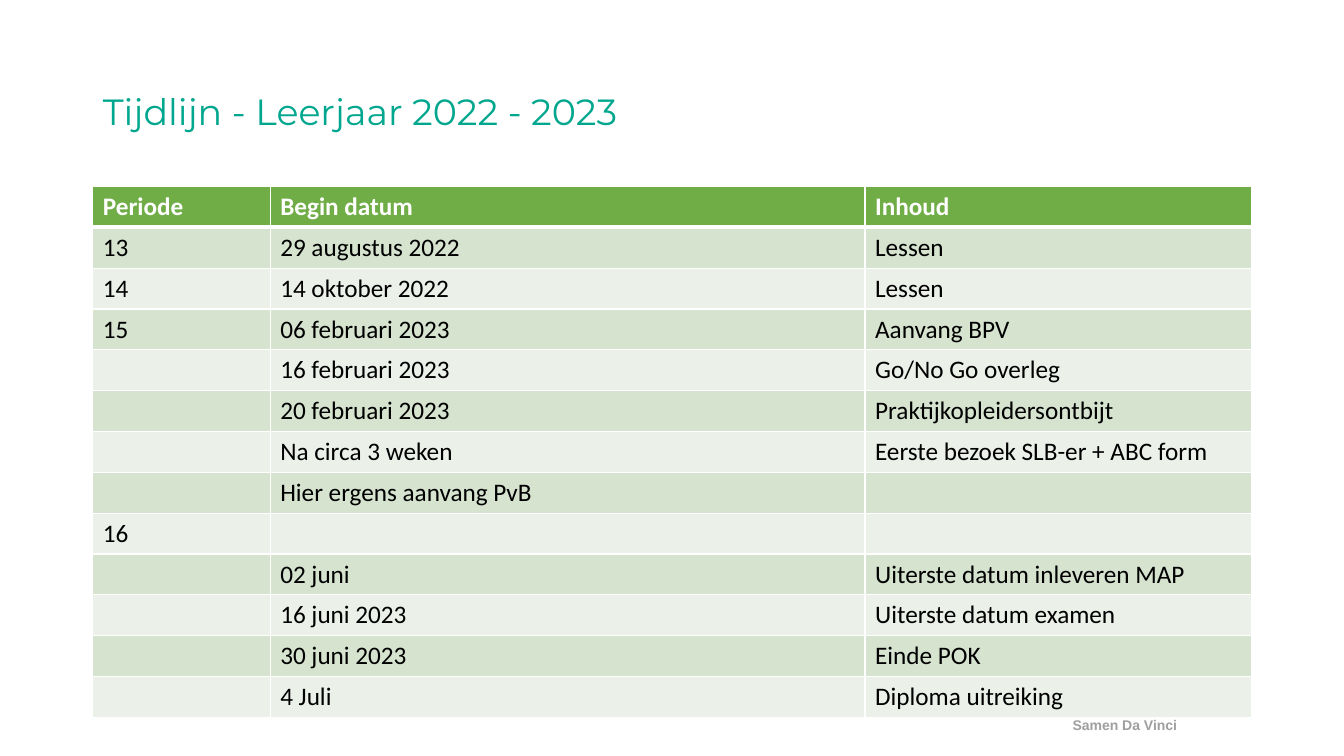
from typing import NamedTuple

from lxml import etree
from pptx import Presentation
from pptx.dml.color import RGBColor
from pptx.enum.text import MSO_ANCHOR, PP_ALIGN
from pptx.oxml.ns import qn
from pptx.util import Inches, Pt

MIDDLE = MSO_ANCHOR.MIDDLE
LEFT = PP_ALIGN.LEFT

TEAL = RGBColor(0x00, 0xA7, 0x8E)
GREY = RGBColor(0x9E, 0x9F, 0x9E)
WHITE = RGBColor(0xFF, 0xFF, 0xFF)
BLACK = RGBColor(0x00, 0x00, 0x00)
GREEN = RGBColor(0x70, 0xAD, 0x47)
BAND_DARK = RGBColor(0xD5, 0xE3, 0xCF)
BAND_LIGHT = RGBColor(0xEB, 0xF1, 0xE9)

ROW_HEIGHT = 5.27 / 13
COLUMN_WIDTHS = (1.76, 5.9, 3.83)


class Period(NamedTuple):
    number: str
    start: str
    content: str


HEADER = Period("Periode", "Begin datum", "Inhoud")
PERIODS = (
    Period("13", "29 augustus 2022", "Lessen"),
    Period("14", "14 oktober 2022", "Lessen"),
    Period("15", "06 februari 2023", "Aanvang BPV"),
    Period("", "16 februari 2023", "Go/No Go overleg"),
    Period("", "20 februari 2023", "Praktijkopleidersontbijt"),
    Period("", "Na circa 3 weken", "Eerste bezoek SLB-er + ABC form"),
    Period("", "Hier ergens aanvang PvB", ""),
    Period("16", "", ""),
    Period("", "02 juni", "Uiterste datum inleveren MAP"),
    Period("", "16 juni 2023", "Uiterste datum examen"),
    Period("", "30 juni 2023", "Einde POK"),
    Period("", "4 Juli", "Diploma uitreiking"),
)


def style_font(paragraph, name: str, size: int, color: RGBColor, bold: bool = False) -> None:
    font = paragraph.font
    font.name, font.size, font.bold = name, Pt(size), bold
    font.color.rgb = color


def add_border(cell, side: str, points: int) -> None:
    """Draw a white line on one side (L, R, T or B); call before filling the cell."""
    properties = cell._tc.get_or_add_tcPr()
    line = etree.SubElement(properties, qn(f"a:ln{side}"), w=str(Pt(points)))
    fill = etree.SubElement(line, qn("a:solidFill"))
    etree.SubElement(fill, qn("a:srgbClr"), val=str(WHITE))


def add_title(page) -> None:
    title = page.shapes.title
    title.left, title.top = Inches(0.92), Inches(0.4)
    title.width, title.height = Inches(11.5), Inches(1.45)
    title.text_frame.text = "Tijdlijn - Leerjaar 2022 - 2023"
    title.text_frame.vertical_anchor = MIDDLE
    para = title.text_frame.paragraphs[0]
    para.alignment = LEFT
    para.line_spacing = 0.9
    style_font(para, "Montserrat", 26, TEAL)


def add_footer(page) -> None:
    box = page.shapes.add_textbox(Inches(10.54), Inches(7.06), Inches(1.88), Inches(0.27))
    box.text_frame.word_wrap = True
    para = box.text_frame.paragraphs[0]
    para.text = "Samen Da Vinci"
    style_font(para, "Arial", 10, GREY, bold=True)


def add_timeline(page) -> None:
    rows = (HEADER, *PERIODS)
    table = page.shapes.add_table(
        len(rows), len(COLUMN_WIDTHS), Inches(0.92), Inches(1.85),
        Inches(sum(COLUMN_WIDTHS)), Inches(ROW_HEIGHT * len(rows)),
    ).table
    for column, width in zip(table.columns, COLUMN_WIDTHS):
        column.width = Inches(width)
    for row_index, period in enumerate(rows):
        table.rows[row_index].height = Inches(ROW_HEIGHT)
        is_header = row_index == 0
        band = BAND_DARK if row_index % 2 else BAND_LIGHT
        for column_index, words in enumerate(period):
            cell = table.cell(row_index, column_index)
            add_border(cell, "L", 1)
            add_border(cell, "R", 1)
            add_border(cell, "T", 3 if row_index == 1 else 1)
            add_border(cell, "B", 3 if is_header else 1)
            cell.fill.solid()
            cell.fill.fore_color.rgb = GREEN if is_header else band
            para = cell.text_frame.paragraphs[0]
            if words:
                para.text = words
            style_font(para, "Calibri", 18, WHITE if is_header else BLACK, is_header)


def main() -> None:
    deck = Presentation()
    deck.slide_width, deck.slide_height = Inches(13.33), Inches(7.5)
    page = deck.slides.add_slide(deck.slide_layouts[5])
    add_footer(page)
    add_title(page)
    add_timeline(page)
    deck.save("out.pptx")


if __name__ == "__main__":
    main()
